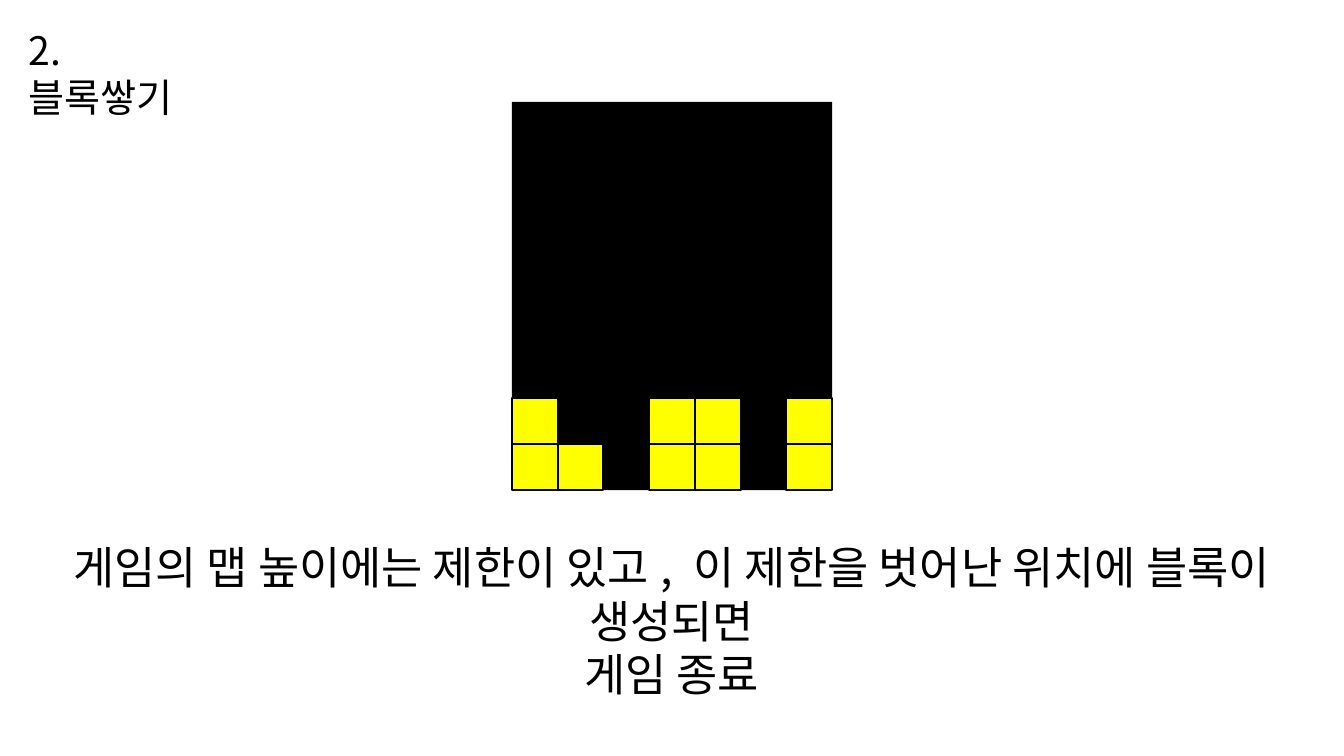
from pptx import Presentation
from pptx.dml.color import RGBColor
from pptx.enum.shapes import MSO_SHAPE
from pptx.enum.text import PP_ALIGN
from pptx.oxml.ns import qn
from pptx.util import Pt
from lxml import etree

RECTANGLE = MSO_SHAPE.RECTANGLE
LEFT, CENTER = PP_ALIGN.LEFT, PP_ALIGN.CENTER
BLACK = RGBColor(0x00, 0x00, 0x00)
YELLOW = RGBColor(0xFF, 0xFF, 0x00)
FONT = "Noto Sans CJK KR"

BOARD_LEFT, BOARD_TOP = 365.7, 72.7
BOARD_WIDTH, BOARD_HEIGHT = 228.8, 277.5
CELL = 32.67
STACK = ["#..##.#", "##.##.#"]
STACK_TOP = 284.4


def add_rectangle(slide, left, top, width, height, fill, line=None):
    shape = slide.shapes.add_shape(RECTANGLE, Pt(left), Pt(top), Pt(width), Pt(height))
    shape.shadow.inherit = False
    shape.fill.solid()
    shape.fill.fore_color.rgb = fill
    if line is None:
        shape.line.fill.background()
    else:
        shape.line.color.rgb = line
        shape.line.width = Pt(1.5)


def add_text(slide, lines, left, top, width, height, size, spacing, align=LEFT):
    box = slide.shapes.add_textbox(Pt(left), Pt(top), Pt(width), Pt(height))
    frame = box.text_frame
    frame.word_wrap = True
    frame.text = "\n".join(lines)
    for paragraph in frame.paragraphs:
        paragraph.alignment = align
        paragraph.line_spacing = Pt(spacing)
        font = paragraph.runs[0].font
        font.name = FONT
        font.size = Pt(size)
        font.color.rgb = BLACK
        east_asian = etree.SubElement(font._element, qn("a:ea"))
        east_asian.set("typeface", FONT)


def add_stack(slide):
    for row, cells in enumerate(STACK):
        for column, cell in enumerate(cells):
            if cell == "#":
                add_rectangle(slide, BOARD_LEFT + column * CELL, STACK_TOP + row * CELL,
                              CELL, CELL, YELLOW, line=BLACK)


def main():
    presentation = Presentation()
    presentation.slide_width, presentation.slide_height = Pt(960), Pt(540)
    slide = presentation.slides.add_slide(presentation.slide_layouts[6])
    add_rectangle(slide, BOARD_LEFT, BOARD_TOP, BOARD_WIDTH, BOARD_HEIGHT, BLACK)
    add_text(slide, ["2. 블록쌓기"], 13.5, 15, 135, 41, size=28, spacing=33.6)
    add_text(slide,
             ["게임의 맵 높이에는 제한이 있고, 이 제한을 벗어난 위치에 블록이 생성되면", "게임 종료"],
             -12.2, 382.5, 984, 85, size=32, spacing=38.2, align=CENTER)
    add_stack(slide)
    presentation.save("out.pptx")


if __name__ == "__main__":
    main()
